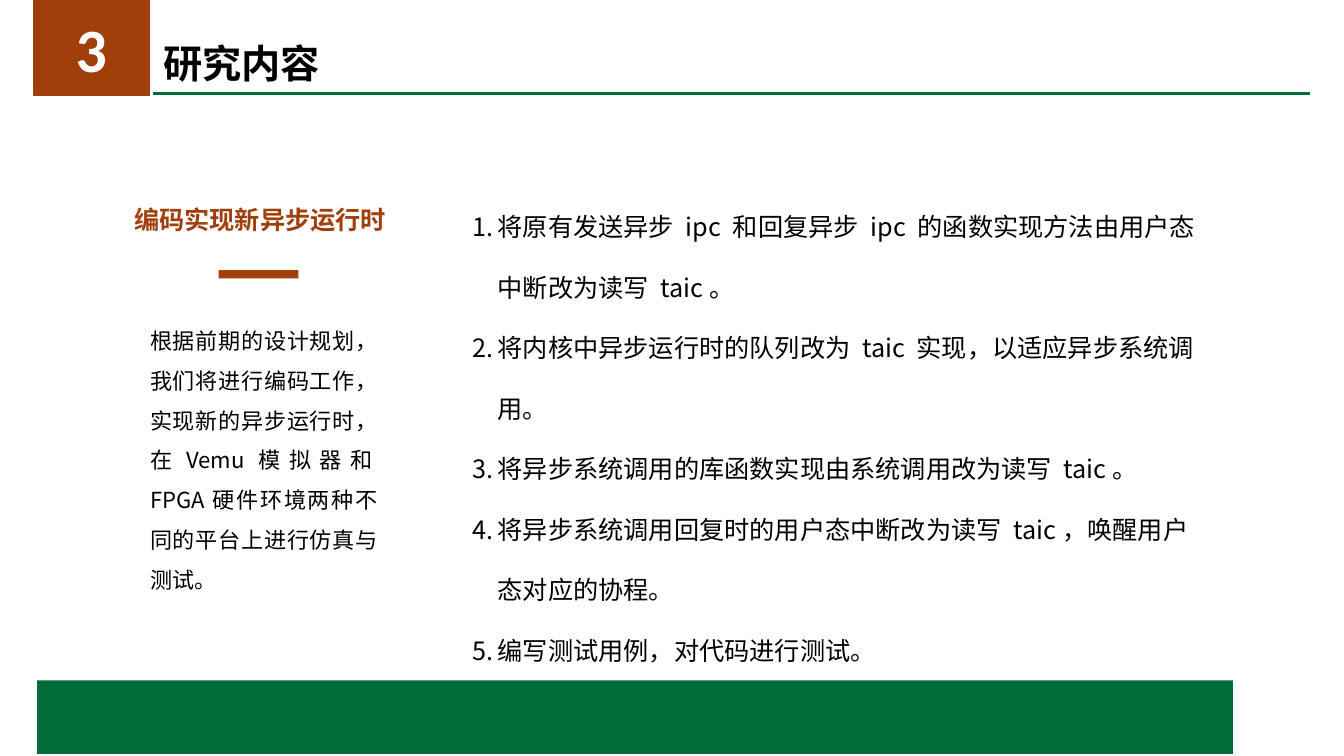
from dataclasses import dataclass
from lxml.etree import SubElement
from pptx import Presentation
from pptx.dml.color import RGBColor
from pptx.enum.shapes import MSO_CONNECTOR, MSO_SHAPE
from pptx.enum.text import MSO_ANCHOR, MSO_AUTO_SIZE, PP_ALIGN
from pptx.oxml.ns import qn
from pptx.util import Pt


@dataclass(frozen=True)
class Theme:
    green: str = "006C39"
    rust: str = "A13F0B"
    black: str = "000000"
    white: str = "FFFFFF"
    cjk: str = "Noto Sans CJK SC"
    latin: str = "Calibri"
    number_size: float = 44
    title_size: float = 28
    list_size: float = 18
    body_size: float = 15.8


class SlideBuilder:
    def __init__(self, slide, theme):
        self.shapes = slide.shapes
        self.theme = theme

    def rule(self, left, right, y, color, width):
        line = self.shapes.add_connector(
            MSO_CONNECTOR.STRAIGHT, Pt(left), Pt(y), Pt(right), Pt(y))
        line.line.color.rgb = RGBColor.from_string(color)
        line.line.width = Pt(width)
        SubElement(line._element.spPr, qn("a:effectLst"))

    def block(self, box, color, outline=None):
        block = self.shapes.add_shape(MSO_SHAPE.RECTANGLE, *map(Pt, box))
        block.shadow.inherit = False
        block.fill.solid()
        block.fill.fore_color.rgb = RGBColor.from_string(color)
        if outline:
            block.line.color.rgb = RGBColor.from_string(color)
            block.line.width = Pt(outline)
        else:
            block.line.fill.background()
        return block

    def run(self, paragraph, words, size, color, bold=False, font=None):
        run = paragraph.add_run()
        run.text = words
        run.font.size = Pt(size)
        run.font.bold = bold
        run.font.color.rgb = RGBColor.from_string(color)
        run.font.name = font or self.theme.cjk
        east_asian = SubElement(run.font._element, qn("a:ea"))
        east_asian.set("typeface", self.theme.cjk)

    def text(self, box, paragraphs, size, color, spacing, bold=False,
             align=PP_ALIGN.LEFT, anchor=MSO_ANCHOR.TOP, left_inset=7.2,
             bottom_inset=3.6, grow=True, numbered=False):
        frame = self.shapes.add_textbox(*map(Pt, box)).text_frame
        frame.word_wrap = True
        frame.auto_size = (MSO_AUTO_SIZE.SHAPE_TO_FIT_TEXT if grow
                           else MSO_AUTO_SIZE.NONE)
        frame.vertical_anchor = anchor
        frame.margin_left = Pt(left_inset)
        frame.margin_bottom = Pt(bottom_inset)
        for index, words in enumerate(paragraphs):
            paragraph = frame.add_paragraph() if index else frame.paragraphs[0]
            paragraph.alignment = align
            paragraph.line_spacing = spacing
            if numbered:
                self.number(paragraph)
            self.run(paragraph, words, size, color, bold)

    def number(self, paragraph, indent=18):
        properties = paragraph._p.get_or_add_pPr()
        properties.set("marL", str(Pt(indent)))
        properties.set("indent", str(-Pt(indent)))
        bullet = SubElement(properties, qn("a:buAutoNum"))
        bullet.set("type", "arabicPeriod")

    def section_badge(self, box, number):
        frame = self.block(box, self.theme.rust, outline=1).text_frame
        frame.vertical_anchor = MSO_ANCHOR.MIDDLE
        paragraph = frame.paragraphs[0]
        paragraph.alignment = PP_ALIGN.CENTER
        self.run(paragraph, number, self.theme.number_size, self.theme.white,
                 bold=True, font=self.theme.latin)


TASKS = [
    "将原有发送异步 ipc 和回复异步 ipc 的函数实现方法由用户态中断改为读写 taic。",
    "将内核中异步运行时的队列改为 taic 实现，以适应异步系统调用。",
    "将异步系统调用的库函数实现由系统调用改为读写 taic。",
    "将异步系统调用回复时的用户态中断改为读写 taic，唤醒用户态对应的协程。",
    "编写测试用例，对代码进行测试。",
]
SUMMARY = ("根据前期的设计规划，我们将进行编码工作，实现新的异步运行时，"
           "在Vemu模拟器和FPGA硬件环境两种不同的平台上进行仿真与测试。")


def main():
    deck = Presentation()
    deck.slide_width, deck.slide_height = Pt(960), Pt(540)
    theme = Theme()
    page = SlideBuilder(deck.slides.add_slide(deck.slide_layouts[6]), theme)

    page.rule(109.4, 936, 66.9, theme.green, 2.25)
    page.block((26.6, 486, 854, 52.6), theme.green)
    page.text((109.4, 25.9, 680.4, 38.2), ["研究内容"], theme.title_size,
              theme.black, 0.9, bold=True, anchor=MSO_ANCHOR.MIDDLE,
              bottom_inset=0, grow=False)

    page.block((156.2, 193, 56.9, 5.8), theme.rust)
    page.text((95.8, 146.9, 193, 20.9), ["编码实现新异步运行时"],
              theme.list_size, theme.rust, 0.8, bold=True, left_inset=0)
    page.text((107.3, 221, 169.9, 172.1), [SUMMARY], theme.body_size,
              theme.black, 1.5, align=PP_ALIGN.JUSTIFY, left_inset=0)

    page.text((330.5, 126, 540, 306), TASKS, theme.list_size, theme.black, 2,
              numbered=True)
    page.section_badge((23.8, 0, 82.8, 68.4), "3")

    deck.save("out.pptx")


if __name__ == "__main__":
    main()
